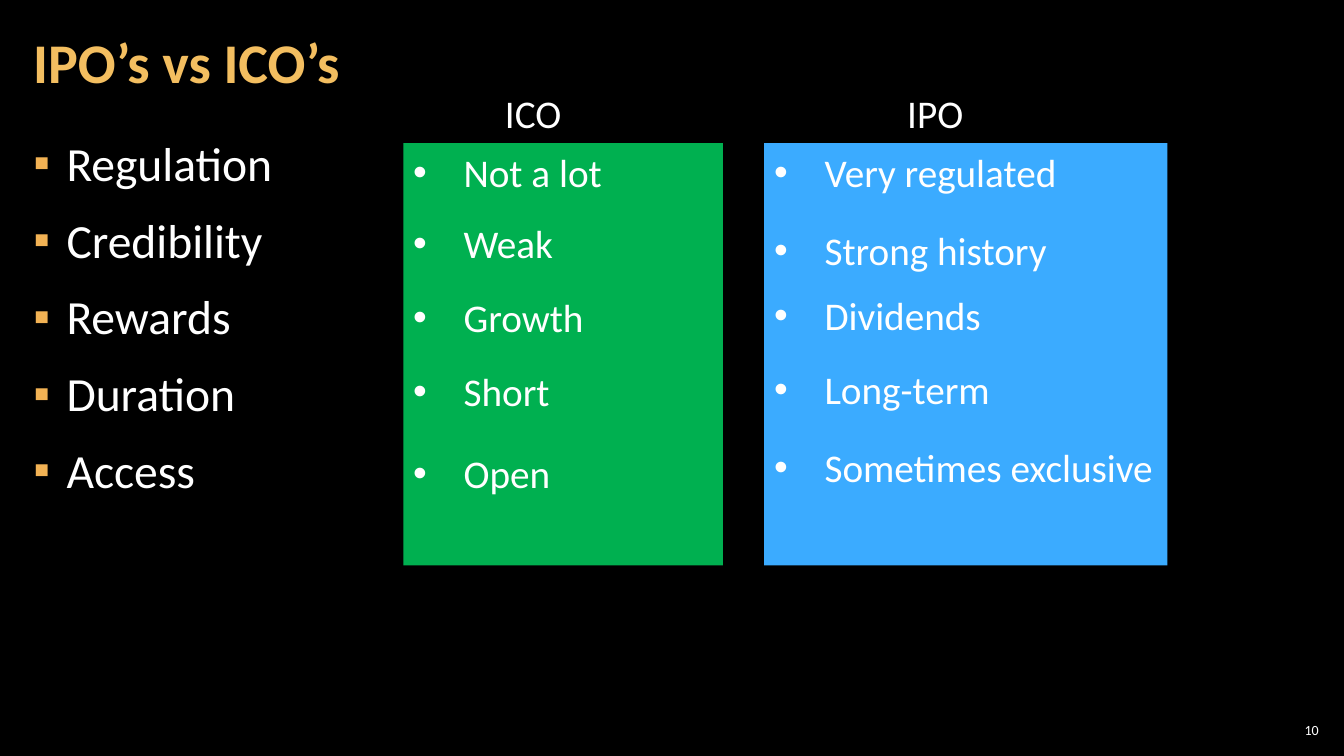
import dataclasses
import typing

import lxml.etree
import pptx
import pptx.dml.color
import pptx.enum.shapes
import pptx.enum.text
import pptx.oxml.ns
import pptx.util

Inches = pptx.util.Inches
Pt = pptx.util.Pt
Align = pptx.enum.text.PP_ALIGN
Anchor = pptx.enum.text.MSO_ANCHOR


@dataclasses.dataclass(frozen=True)
class Theme:
    font: str = "Calibri"
    back: str = "000000"
    white: str = "FFFFFF"
    gold: str = "F3BE60"
    mark: str = "F2B254"
    green: str = "00B050"
    blue: str = "3BABFF"
    title: float = 40
    topic: float = 34
    text: float = 28
    small: float = 10


THEME = Theme()


@dataclasses.dataclass(frozen=True)
class Box:
    left: float
    top: float
    width: float
    height: float

    def place(self) -> tuple:
        return tuple(Inches(v) for v in dataclasses.astuple(self))


@dataclasses.dataclass(frozen=True)
class Bullet:
    mark: str
    color: str
    indent: float


@dataclasses.dataclass(frozen=True)
class Line:
    text: str
    size: float = THEME.text
    color: str = THEME.white
    bold: bool = False
    bullet: typing.Optional[Bullet] = None
    form: dict = dataclasses.field(default_factory=dict)


@dataclasses.dataclass(frozen=True)
class Panel:
    head: str
    head_left: float
    left: float
    width: float
    fill: str
    points: dict  # wording -> points of space before


DOT = Bullet("•", THEME.white, 0.5)
SQUARE = Bullet("▪", THEME.mark, 0.33)
TOPICS = ("Regulation", "Credibility", "Rewards", "Duration", "Access")
PANELS = (
    Panel("ICO", 4.91, 4, 3.17, THEME.green,
          {"Not a lot": 0, "Weak": 17, "Growth": 19.5, "Short": 19.5, "Open": 24.5}),
    Panel("IPO", 8.9, 7.58, 4, THEME.blue,
          {"Very regulated": 0, "Strong history": 22, "Dividends": 13,
           "Long-term": 19.5, "Sometimes exclusive": 22}),
)


def rgb(color: str) -> pptx.dml.color.RGBColor:
    return pptx.dml.color.RGBColor.from_string(color)


def set_all(target: typing.Any, values: dict) -> None:
    for name, value in values.items():
        setattr(target, name, value)


def add_bullet(para: typing.Any, bullet: Bullet) -> None:
    props = para._p.get_or_add_pPr()
    indent = Inches(bullet.indent)
    props.set("marL", str(indent))
    props.set("indent", str(-indent))
    qn = pptx.oxml.ns.qn
    tint = lxml.etree.SubElement(props, qn("a:buClr"))
    lxml.etree.SubElement(tint, qn("a:srgbClr"), val=bullet.color)
    lxml.etree.SubElement(props, qn("a:buFont"), typeface="Arial")
    lxml.etree.SubElement(props, qn("a:buChar"), char=bullet.mark)


def write(shape: typing.Any, lines: typing.Sequence[Line], frame_form: dict) -> None:
    frame = shape.text_frame
    set_all(frame, {"word_wrap": True, **frame_form})
    for i, line in enumerate(lines):
        para = frame.add_paragraph() if i else frame.paragraphs[0]
        if line.bullet:
            add_bullet(para, line.bullet)
        set_all(para, {"alignment": Align.LEFT, **line.form})
        run = para.add_run()
        run.text = line.text
        set_all(run.font, {"name": THEME.font, "size": Pt(line.size), "bold": line.bold})
        run.font.color.rgb = rgb(line.color)


def add_text(slide: typing.Any, box: Box, lines: typing.Sequence[Line], form: dict) -> None:
    write(slide.shapes.add_textbox(*box.place()), lines, form)


def add_panel(slide: typing.Any, panel: Panel) -> None:
    add_text(slide, Box(panel.head_left, 0.84, 0.76, 0.57), [Line(panel.head)],
             {"word_wrap": False})
    box = Box(panel.left, 1.42, panel.width, 4.19)
    rect = slide.shapes.add_shape(pptx.enum.shapes.MSO_SHAPE.RECTANGLE, *box.place())
    rect.shadow.inherit = False
    rect.fill.solid()
    rect.fill.fore_color.rgb = rgb(panel.fill)
    rect.line.fill.background()
    lines = [Line(text, bullet=DOT, form={"space_before": Pt(gap)})
             for text, gap in panel.points.items()]
    write(rect, lines, {"vertical_anchor": Anchor.TOP})


def pads(side: float) -> dict:
    return {"margin_left": Inches(side), "margin_right": Inches(side),
            "margin_top": Inches(0.04), "margin_bottom": Inches(0.04)}


def main() -> None:
    deck = pptx.Presentation()
    set_all(deck, {"slide_width": Inches(13.33), "slide_height": Inches(7.5)})
    slide = deck.slides.add_slide(deck.slide_layouts[6])
    fill = slide.background.fill
    fill.solid()
    fill.fore_color.rgb = rgb(THEME.back)

    middle = {"vertical_anchor": Anchor.MIDDLE}
    add_text(slide, Box(0.21, 0.04, 10.47, 1.21),
             [Line("IPO’s vs ICO’s", THEME.title, THEME.gold, True,
                   form={"line_spacing": 0.9})], {**pads(0.12), **middle})
    topics = [Line(text, THEME.topic, bullet=SQUARE,
                   form={"line_spacing": 1.05, "space_before": Pt(6 if i else 0),
                         "space_after": Pt(6)})
              for i, text in enumerate(TOPICS)]
    add_text(slide, Box(0.21, 1.26, 12.91, 6.09), topics, pads(0.12))
    for panel in PANELS:
        add_panel(slide, panel)
    add_text(slide, Box(12.65, 7.14, 0.47, 0.21),
             [Line("10", THEME.small, form={"alignment": Align.RIGHT})],
             {**pads(0.04), **middle})
    deck.save("out.pptx")


if __name__ == "__main__":
    main()
